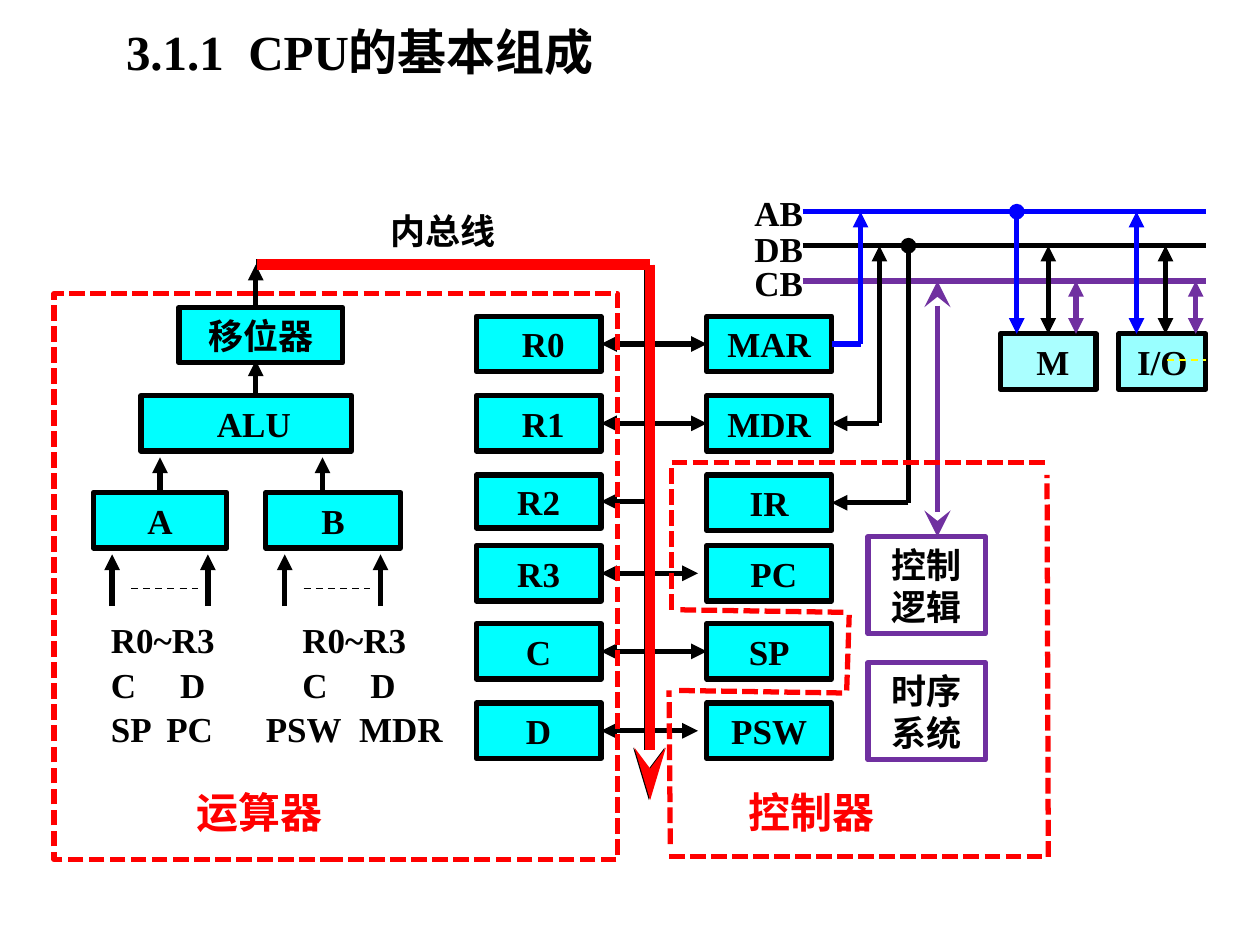
from lxml import etree
from pptx import Presentation
from pptx.dml.color import RGBColor
from pptx.enum.dml import MSO_LINE
from pptx.enum.shapes import MSO_CONNECTOR, MSO_SHAPE
from pptx.enum.text import MSO_ANCHOR, MSO_AUTO_SIZE, PP_ALIGN
from pptx.oxml.ns import qn
from pptx.util import Emu, Pt

SCALE = 9144  # EMU per px, 100 px to the inch
LATIN, HAN = "Times New Roman", "Noto Sans CJK SC"
BLACK = RGBColor(0x00, 0x00, 0x00)
WHITE = RGBColor(0xFF, 0xFF, 0xFF)
RED = RGBColor(0xFF, 0x00, 0x00)
BLUE = RGBColor(0x00, 0x00, 0xFF)
PURPLE = RGBColor(0x70, 0x30, 0xA0)
YELLOW = RGBColor(0xFF, 0xFF, 0x00)
CYAN = RGBColor(0x00, 0xFF, 0xFF)
MEMORY_CYAN = RGBColor(0xAA, 0xFF, 0xFF)
IO_CYAN = RGBColor(0x99, 0xFF, 0xFF)
RECTANGLE, STRAIGHT = MSO_SHAPE.RECTANGLE, MSO_CONNECTOR.STRAIGHT
DASH, SHORT_DASH = MSO_LINE.DASH, MSO_LINE.SQUARE_DOT
LEFT, CENTER = PP_ALIGN.LEFT, PP_ALIGN.CENTER
TOP, MIDDLE = MSO_ANCHOR.TOP, MSO_ANCHOR.MIDDLE
TOP_SIDE, LEFT_SIDE, RIGHT_SIDE = 0, 1, 3
TRIANGLE, OVAL = ("triangle", "med", "med"), ("oval", "med", "med")
STEALTH, LONG_STEALTH = ("stealth", "lg", "lg"), ("stealth", "med", "lg")


def px(value):
    return Emu(value * SCALE)


def add_span(para, text, size=20, color=BLACK, font=LATIN):
    span = para.add_run()
    span.text = text
    span.font.size, span.font.bold, span.font.name = Pt(size), True, font
    span.font.color.rgb = color
    east_asian = etree.SubElement(span.font._element, qn("a:ea"))
    east_asian.set("typeface", HAN)


def set_frame(frame, anchor=MIDDLE, wrap=True, indent=0):
    frame.auto_size = MSO_AUTO_SIZE.NONE
    frame.word_wrap, frame.vertical_anchor = wrap, anchor
    frame.margin_left, frame.margin_right = px(10 + indent), px(10)
    frame.margin_top = frame.margin_bottom = px(5)


def add_box(page, text, left, top, width=99, height=44, fill=CYAN, line=BLACK, indent=0):
    box = page.shapes.add_shape(RECTANGLE, px(left), px(top), px(width), px(height))
    box.shadow.inherit = False
    if fill is None:
        box.fill.background()
    else:
        box.fill.solid()
        box.fill.fore_color.rgb = fill
    box.line.color.rgb, box.line.width = line, Pt(3)
    if text:
        set_frame(box.text_frame, indent=indent)
        para = box.text_frame.paragraphs[0]
        para.alignment = CENTER
        add_span(para, text)
    return box


def add_label(page, text, left, top, width, height=44, align=CENTER, wrap=True, **style):
    label = page.shapes.add_textbox(px(left), px(top), px(width), px(height))
    set_frame(label.text_frame, wrap=wrap)
    para = label.text_frame.paragraphs[0]
    para.alignment = align
    add_span(para, text, **style)


def add_line(page, x1, y1, x2, y2, color=BLACK, width=3, head=None, tail=None,
             dash=None, start=None, end=None):
    """Start and end are (box, side) pairs that the line is joined to."""
    line = page.shapes.add_connector(STRAIGHT, px(x1), px(y1), px(x2), px(y2))
    line.line.color.rgb, line.line.width = color, Pt(width)
    if dash is not None:
        line.line.dash_style = dash
    outline = line.line._get_or_add_ln()
    for tag, arrow in (("a:headEnd", head), ("a:tailEnd", tail)):
        if arrow:
            etree.SubElement(outline, qn(tag), dict(zip(("type", "w", "len"), arrow)))
    etree.SubElement(line._element.spPr, qn("a:effectLst"))
    if start:
        line.begin_connect(*start)
    if end:
        line.end_connect(*end)


def add_sources(page):
    """Lists the operand sources under A and B in tabbed columns."""
    rows = (("R0~R3\tR0~R3", (152,)),
            ("C\tD\tC\tD", (55, 152, 206)),
            ("SP\tPC\tPSW\tMDR", (44, 123, 197)))
    box = page.shapes.add_textbox(px(43), px(495), px(327), px(104))
    frame = box.text_frame
    set_frame(frame, anchor=TOP, indent=35)
    frame.margin_top = px(8)
    for index, (text, stops) in enumerate(rows):
        para = frame.paragraphs[0] if index == 0 else frame.add_paragraph()
        para.line_spacing = 0.6
        if index:
            para.space_before = Pt(11)
        tabs = etree.SubElement(para._p.get_or_add_pPr(), qn("a:tabLst"))
        for stop in stops:
            etree.SubElement(tabs, qn("a:tab"), pos=str(px(stop)), algn="l")
        add_span(para, text)


def add_title(page):
    title = page.shapes.title
    title.left, title.top, title.width, title.height = px(90), px(12), px(396), px(57)
    set_frame(title.text_frame, anchor=TOP)
    para = title.text_frame.paragraphs[0]
    para.alignment = LEFT
    add_span(para, "3.1.1  CPU的基本组成", size=28)


def add_arithmetic_unit(page):
    input_a = add_box(page, "A", 74, 391, 106)
    add_box(page, "B", 211, 391, 107)
    add_box(page, "移位器", 142, 244, 130)
    add_box(page, "ALU", 112, 314, 167, indent=12)
    add_line(page, 127, 391, 127, 363, tail=TRIANGLE, start=(input_a, TOP_SIDE))
    for x, bottom, top in ((256, 391, 363), (203, 314, 286), (203, 244, 210),
                           (89, 481, 440), (165, 481, 440),
                           (226, 481, 440), (302, 481, 440)):
        add_line(page, x, bottom, x, top, tail=TRIANGLE)
    for x in (104, 241):
        add_line(page, x, 467, x + 53, 467, width=1, dash=DASH)
    add_sources(page)


def add_registers(page):
    """Builds both register columns with their bus links; returns the right one."""
    # left name, left indent, right name, right indent, top, height, right end of link
    rows = (("R0", 7, "MAR", 0, 251, 44, 561), ("R1", 7, "MDR", 0, 314, 44, 561),
            ("R2", 0, "IR", 0, 377, 42, 516), ("R3", 0, "PC", 7, 433, 44, 554),
            ("C", 0, "SP", 0, 495, 44, 561), ("D", 0, "PSW", 0, 558, 44, 554))
    right_boxes = {}
    for name, indent, right_name, right_indent, top, height, reach in rows:
        left_box = add_box(page, name, 378, top, height=height, indent=indent)
        right_box = add_box(page, right_name, 561, top, indent=right_indent)
        right_boxes[right_name] = right_box
        y = top + height // 2
        add_line(page, reach, y, 477, y, tail=TRIANGLE,
                 head=None if name == "R2" else TRIANGLE,
                 start=(right_box, LEFT_SIDE) if reach == 561 else None,
                 end=(left_box, RIGHT_SIDE))
    return right_boxes


def add_system_bus(page, registers):
    for name, top, y, color in (("AB", 147, 168, BLUE), ("DB", 175, 195, BLACK),
                                ("CB", 202, 223, PURPLE)):
        add_label(page, name, 576, top, 84)
        add_line(page, 637, y, 957, y, color)
    # Memory and I/O
    memory = add_box(page, "M", 794, 265, 76, fill=MEMORY_CYAN, indent=7)
    add_box(page, "I/O", 888, 265, 69, fill=IO_CYAN)
    for x, head, joined in ((807, OVAL, None), (902, TRIANGLE, None)):
        add_line(page, x, 168, x, 265, BLUE, head=head, tail=TRIANGLE)
    for x, joined in ((832, (memory, TOP_SIDE)), (925, None)):
        add_line(page, x, 195, x, 265, head=TRIANGLE, tail=TRIANGLE, end=joined)
    for x in (854, 949):
        add_line(page, x, 223, x, 265, PURPLE, head=TRIANGLE, tail=TRIANGLE)
    add_line(page, 926, 286, 957, 286, YELLOW, 1, dash=DASH)
    # Links from MAR, MDR and IR
    add_line(page, 660, 273, 683, 273, BLUE, start=(registers["MAR"], RIGHT_SIDE))
    add_line(page, 683, 273, 683, 168, BLUE, tail=TRIANGLE)
    add_line(page, 698, 336, 660, 336, tail=TRIANGLE, end=(registers["MDR"], RIGHT_SIDE))
    add_line(page, 698, 336, 698, 195, tail=TRIANGLE)
    add_line(page, 721, 195, 721, 399, head=OVAL)
    add_line(page, 721, 399, 660, 399, tail=TRIANGLE, end=(registers["IR"], RIGHT_SIDE))


def add_control_unit(page):
    add_line(page, 744, 223, 744, 426, PURPLE, head=STEALTH, tail=STEALTH)
    for text, top in (("控制逻辑", 426), ("时序系统", 526)):
        add_box(page, text, 689, top, 93, 77, fill=None, line=PURPLE)
    for edge in ((533, 367, 832, 367), (531, 680, 831, 680), (832, 680, 831, 377),
                 (533, 484, 533, 369), (540, 484, 671, 486), (672, 548, 674, 488),
                 (539, 548, 670, 550), (532, 670, 531, 548)):
        add_line(page, *edge, RED, dash=SHORT_DASH)


def add_inner_bus(page):
    add_label(page, "内总线", 272, 161, 160)
    for x, color in ((203, BLACK), (204, RED)):
        add_line(page, x, 210, x + 312, 210, color, 6)
        add_line(page, x + 312, 210, x + 312, 635, color, 6, tail=LONG_STEALTH)


def main():
    deck = Presentation()
    deck.slide_width, deck.slide_height = px(1000), px(750)
    page = deck.slides.add_slide(deck.slide_layouts[5])
    page.background.fill.solid()
    page.background.fill.fore_color.rgb = WHITE

    add_title(page)
    add_arithmetic_unit(page)
    registers = add_registers(page)
    add_system_bus(page, registers)
    add_control_unit(page)
    # Outline and names of the two units
    outline = add_box(page, "", 43, 233, 447, 449, fill=None, line=RED)
    outline.line.dash_style = SHORT_DASH
    for text, left in (("运算器", 146), ("控制器", 584)):
        add_label(page, text, left, 619, 122, 50, LEFT, False,
                  size=24, color=RED, font=HAN)
    add_inner_bus(page)
    deck.save("out.pptx")


if __name__ == "__main__":
    main()
